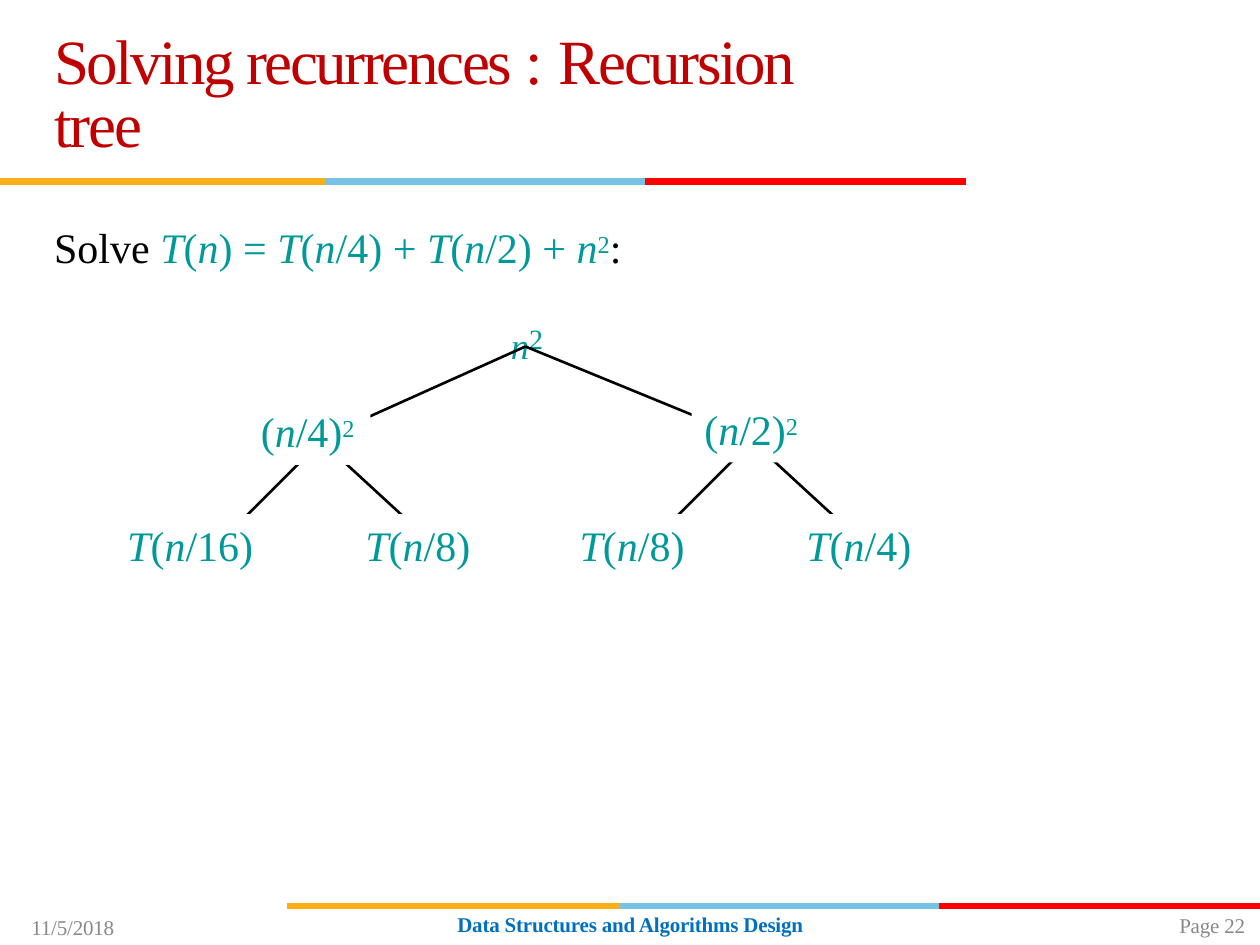
from dataclasses import dataclass
from itertools import groupby
from typing import NamedTuple, Optional

from lxml import etree
from pptx import Presentation
from pptx import util as u
from pptx.dml.color import RGBColor
from pptx.enum import shapes, text
from pptx.oxml.ns import qn

FONT = "Times New Roman"
GOLD = RGBColor(0xFB, 0xAF, 0x17)
SKY = RGBColor(0x76, 0xC2, 0xE4)
CRIMSON = RGBColor(0xE2, 0x1C, 0x23)
RED = RGBColor(0xFF, 0x00, 0x00)
DARK_RED = RGBColor(0xC0, 0x00, 0x00)
TEAL = RGBColor(0x00, 0x99, 0x99)
BLUE = RGBColor(0x00, 0x6F, 0xC0)
GRAY = RGBColor(0x88, 0x88, 0x88)
BLACK = RGBColor(0x00, 0x00, 0x00)
WHITE = RGBColor(0xFF, 0xFF, 0xFF)

COLUMNS, ROWS = 10, 7.5
deck = Presentation()
deck.slide_width, deck.slide_height = u.Inches(10), u.Inches(7.5)
slide = deck.slides.add_slide(deck.slide_layouts[6])


def col(count: float) -> int:
    return round(deck.slide_width * count / COLUMNS)


def row(count: float) -> int:
    return round(deck.slide_height * count / ROWS)


class Run(NamedTuple):
    words: str
    italic: bool = False
    color: Optional[RGBColor] = None
    size: Optional[float] = None
    baseline: int = 0      # percent of the text size
    spacing: float = 0     # points


class Rule(NamedTuple):
    start: float
    end: float
    at: float
    color: RGBColor
    weight: float


@dataclass
class Node:
    formula: str
    left: float
    top: float
    width: float


def math(formula: str) -> list[Run]:
    """Letters are italic; whatever follows ^ is raised."""
    body, _, power = formula.partition("^")
    runs = [Run("".join(part), italic, TEAL, spacing=-0.1 if italic else 0)
            for italic, part in groupby(body, str.isalpha)]
    return runs + ([Run(power, color=TEAL, baseline=24)] if power else [])


def add_runs(paragraph, runs: list[Run], size: float, color: RGBColor,
             bold: bool = False) -> None:
    for part in runs:
        run = paragraph.add_run()
        run.text = part.words
        font = run.font
        font.name, font.size = FONT, u.Pt(part.size or size)
        font.bold, font.italic = bold, part.italic
        font.color.rgb = part.color or color
        properties = run._r.get_or_add_rPr()
        if part.baseline:
            properties.set("baseline", str(part.baseline * 1000))
        if part.spacing:
            properties.set("spc", str(round(part.spacing * 100)))


def write(runs: list[Run], left: float, top: float, width: float, height: float, *,
          size: float = 24, color: RGBColor = TEAL, bold: bool = False,
          inset: float = 0, line: Optional[float] = None):
    frame = slide.shapes.add_textbox(col(left), row(top), col(width), row(height)).text_frame
    frame.word_wrap = True
    frame.auto_size = text.MSO_AUTO_SIZE.SHAPE_TO_FIT_TEXT
    frame.margin_left = frame.margin_right = frame.margin_bottom = 0
    frame.margin_top = row(inset)
    paragraph = frame.paragraphs[0]
    paragraph._p.get_or_add_pPr().set("marL", str(col(0.01)))
    if line:
        paragraph.line_spacing = u.Pt(line)
    add_runs(paragraph, runs, size, color, bold)
    return frame


def draw_line(x1: float, y1: float, x2: float, y2: float, color: RGBColor, weight: float) -> None:
    line = slide.shapes.add_connector(
        shapes.MSO_CONNECTOR.STRAIGHT, col(x1), row(y1), col(x2), row(y2))
    line.line.color.rgb = color
    line.line.width = u.Pt(weight)
    etree.SubElement(line._element.spPr, qn("a:effectLst"))


def draw_node(node: Node) -> None:
    """A white plate that hides the branch ends, with the formula on it."""
    plate = slide.shapes.add_shape(
        shapes.MSO_SHAPE.RECTANGLE, col(node.left - 0.09), row(node.top - 0.03),
        col(node.width + 0.18), row(0.51))
    plate.shadow.inherit = False
    plate.fill.solid()
    plate.fill.fore_color.rgb = WHITE
    plate.line.fill.background()
    write(math(node.formula), node.left, node.top, node.width, 0.43, inset=0.01)


# Coloured rules: two layers in the footer, one under the title
FOOT, HEAD = 7.19, 1.44
RULES = [
    Rule(5.06, 7.61, FOOT, SKY, 3.88),
    Rule(7.56, 10, FOOT, CRIMSON, 3.63),
    Rule(2.28, 5.1, FOOT, GOLD, 3.88),
    Rule(4.92, 7.46, FOOT, SKY, 3.63),
    Rule(2.33, 4.92, FOOT, GOLD, 3.63),
    Rule(7.45, 10, FOOT, RED, 3.63),
    Rule(2.58, 5.13, HEAD, SKY, 3.62),
    Rule(0, 2.58, HEAD, GOLD, 3.62),
    Rule(5.12, 7.67, HEAD, RED, 3.62),
]
for rule in RULES:
    draw_line(rule.start, rule.at, rule.end, rule.at, rule.color, rule.weight)

# Title
write([Run("Solving recurrences ", spacing=-1.4), Run(": "),
       Run("Recursion ", spacing=-1.4), Run("tree", spacing=-1.2)],
      0.42, 0.16, 6.57, 0.62, size=36, color=DARK_RED, inset=0.11, line=36)

# Recurrence, and the root of the tree below it
recurrence = write(
    [Run("Solve "), *math("T(n) = T(n/4) + T(n/2) + n^2"), Run(":")],
    0.42, 1.63, 4.58, 1.06, color=BLACK, inset=0.13)
root = recurrence.add_paragraph()
root._p.get_or_add_pPr().set("marR", str(col(0.69)))
root.alignment = text.PP_ALIGN.RIGHT
root.space_before = u.Pt(8.3)
add_runs(root, [Run("n", True, size=36, baseline=-16), Run("2", size=16, spacing=-0.1)], 24, TEAL)

# Branches from each parent to its two children
BRANCHES = {
    (4.17, 2.75): [(2.5, 3.5), (6, 3.5)],
    (2.55, 3.5): [(1.63, 4.42), (3.55, 4.42)],
    (5.97, 3.5): [(5.05, 4.42), (6.97, 4.42)],
}
for parent, children in BRANCHES.items():
    for child in children:
        draw_line(*parent, *child, BLACK, 1.5)

# Nodes
LEAF_TOP = 4.11
NODES = [
    Node("(n/4)^2", 2.06, 3.21, 0.79),
    Node("(n/2)^2", 5.58, 3.19, 0.79),
    Node("T(n/16)", 1, LEAF_TOP, 1.03),
    Node("T(n/8)", 2.89, LEAF_TOP, 0.86),
    Node("T(n/8)", 4.59, LEAF_TOP, 0.86),
    Node("T(n/4)", 6.39, LEAF_TOP, 0.86),
]
for node in NODES:
    draw_node(node)

# Footer
write([Run("Data Structures and Algorithms Design", spacing=-0.1)],
      3.62, 7.24, 2.83, 0.21, size=12, color=BLUE, bold=True, line=14.1)
write([Run("Page 22", spacing=-0.1)], 9.35, 7.24, 0.57, 0.22, size=12, color=GRAY, line=14.3)
write([Run("11/5/2018", spacing=-0.1)], 0.24, 7.26, 0.7, 0.21, size=12, color=GRAY, line=14.1)

deck.save("out.pptx")
